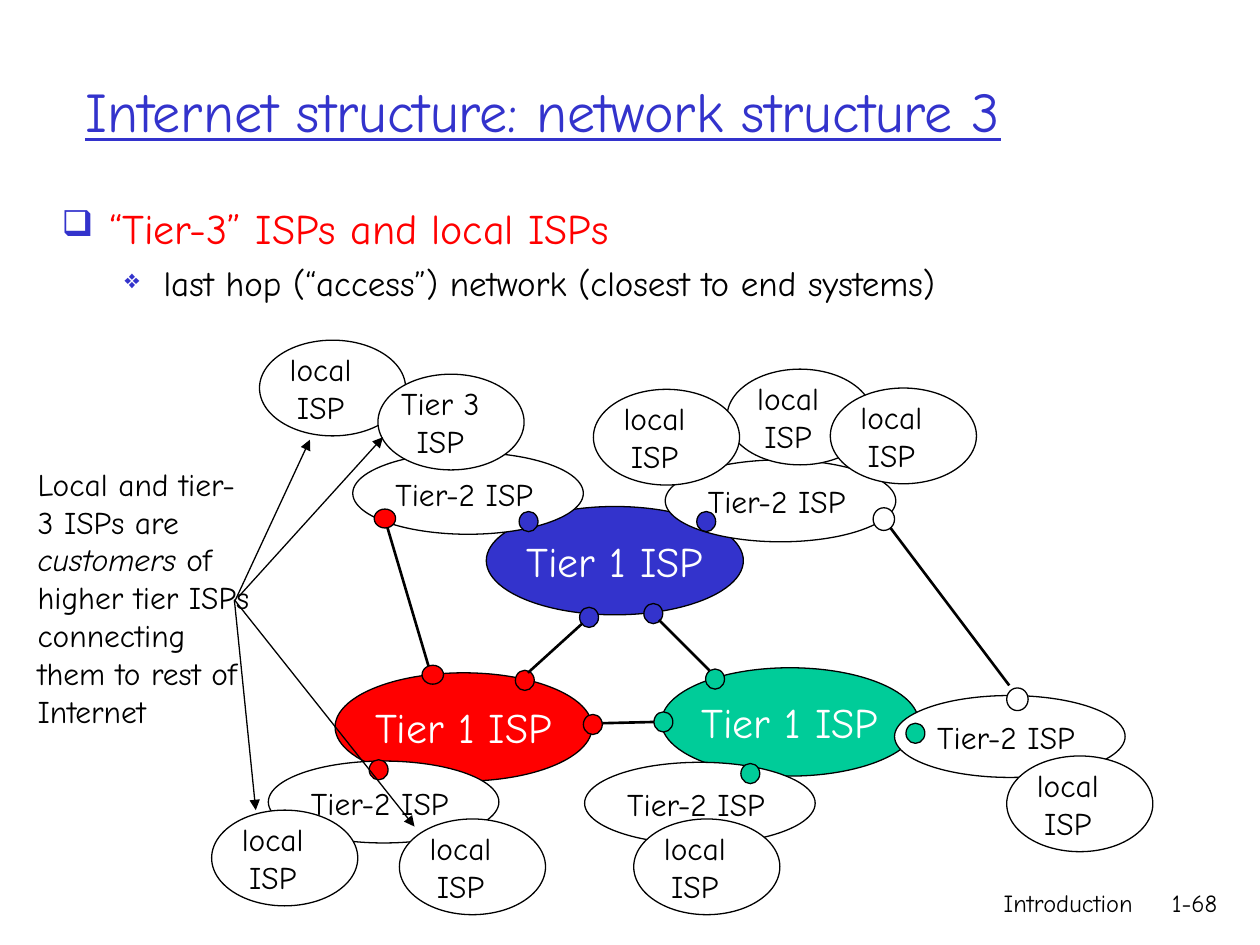
import pptx
import pptx.util
import pptx.dml.color
import pptx.enum.shapes
import pptx.enum.text
import pptx.oxml.ns
from lxml import etree

Inches, Pt = pptx.util.Inches, pptx.util.Pt
SHAPE = pptx.enum.shapes.MSO_SHAPE
ALIGN = pptx.enum.text.PP_ALIGN
MID = pptx.enum.text.MSO_ANCHOR.MIDDLE
FIT = pptx.enum.text.MSO_AUTO_SIZE.SHAPE_TO_FIT_TEXT
qn = pptx.oxml.ns.qn

FONT = "Comic Neue"
HUES = {"black": "000000", "white": "FFFFFF", "blue": "3333CC",
        "red": "FF0000", "green": "00CC99"}

TITLE = "Internet structure: network structure 3"
FOOT = [(" Introduction", (5.92, 7, 3.17, 0.5)), ("1-68", (9.08, 7, 0.68, 0.5))]
POINTS = [
    ("“Tier-3” ISPs and local ISPs", 24, "red", "❑", 85, 0.38, 0.38, 0),
    ("last hop (“access”) network (closest to end systems)", 20, "black",
     "❖", 75, 0.81, 0.31, 4.8),
]
NOTE = [
    [("Local and tier- 3 ISPs are ", False), ("customers", True), (" of", False)],
    [("higher tier ISPs", False)],
    [("connecting them to rest of Internet", False)],
]

TIER1 = [(2.66, 5.34, "red"), (3.86, 4.02, "blue"), (5.25, 5.3, "green")]
PEERS = [(5.6, 5.31, "green"), (5.11, 4.79, "blue"), (4.6, 4.82, "blue"),
         (4.09, 5.32, "red"), (4.63, 5.67, "red"), (5.19, 5.65, "green")]
LINKS = [(4.78, 5.74, 5.19, 5.73), (5.23, 4.92, 5.63, 5.32),
         (4.19, 5.34, 4.62, 4.95)]
TIER2 = [
    (5.28, 3.65, (5.53, 4.06, "blue")),
    (2.8, 3.59, (4.12, 4.06, "blue")),
    (2.13, 6.04, (2.93, 6.03, "red")),
    (4.64, 6.05, (5.88, 6.06, "green")),
    (7.1, 5.52, (7.19, 5.74, "green")),
]
UPLINKS = [(3.07, 4.17, 3.42, 5.35), (7.06, 4.18, 8.01, 5.44)]
ENDS = [(2.97, 4.04, 0.15, "red"), (3.35, 5.28, 0.15, "red"),
        (6.93, 4.03, 0.18, "white"), (7.99, 5.46, 0.18, "white")]
LOCALS = [
    (5.77, 2.93, "local"), (4.71, 3.09, "local"), (6.59, 3.08, "local"),
    (1.68, 6.43, "local"), (2.06, 2.7, "local"), (3, 2.97, "Tier 3"),
    (3.17, 6.5, "local"), (5.03, 6.5, "local"), (7.99, 6, "local"),
]
ARROWS = [(1.86, 4.78, 2.46, 3.49), (1.89, 4.74, 3.04, 3.47),
          (1.86, 4.76, 2.03, 6.43), (1.86, 4.76, 3.29, 6.56)]

deck = pptx.Presentation()
deck.slide_width, deck.slide_height = Inches(10), Inches(7.5)
slide = deck.slides.add_slide(deck.slide_layouts[6])


def tint(name):
    return pptx.dml.color.RGBColor.from_string(HUES[name])


def write(para, text, size, hue="black", slant=False, under=False):
    run = para.add_run()
    run.text = text
    font = run.font
    font.name, font.size = FONT, Pt(size)
    font.color.rgb = tint(hue)
    if slant:
        font.italic = True
    if under:
        font.underline = True


def frame(place, wrap=True, fit=False):
    text = slide.shapes.add_textbox(*map(Inches, place)).text_frame
    text.word_wrap = wrap
    if fit:
        text.auto_size = FIT
    return text


def rows(text, count):
    return [text.paragraphs[0]] + [text.add_paragraph() for _ in range(count - 1)]


def label(place, lines, align):
    text = frame(place, wrap=False, fit=True)
    for para, line in zip(rows(text, len(lines)), lines):
        para.alignment = align
        write(para, line, 18)


def oval(place, hue):
    shape = slide.shapes.add_shape(SHAPE.OVAL, *map(Inches, place))
    shape.shadow.inherit = False
    shape.fill.solid()
    shape.fill.fore_color.rgb = tint(hue)
    shape.line.color.rgb = tint("black")
    shape.line.width = Pt(0.75)
    return shape


def dot(left, top, hue):
    oval((left, top, 0.15, 0.16), hue)


def link(ends, width=1.5, arrow=False):
    kind = pptx.enum.shapes.MSO_CONNECTOR.STRAIGHT
    line = slide.shapes.add_connector(kind, *map(Inches, ends))
    line.line.color.rgb = tint("black")
    line.line.width = Pt(width)
    if arrow:
        etree.SubElement(line.line._get_or_add_ln(), qn("a:tailEnd"), type="triangle")
    etree.SubElement(line._element.spPr, qn("a:effectLst"))


def bullet(para, mark, scale, left, hang):
    props = para._p.get_or_add_pPr()
    props.set("marL", str(Inches(left)))
    props.set("indent", str(-Inches(hang)))
    color = etree.SubElement(props, qn("a:buClr"))
    etree.SubElement(color, qn("a:srgbClr"), val=HUES["blue"])
    etree.SubElement(props, qn("a:buSzPct"), val=str(scale * 1000))
    etree.SubElement(props, qn("a:buChar"), char=mark)


for words, place in FOOT:
    para = frame(place).paragraphs[0]
    para.alignment = ALIGN.RIGHT
    write(para, words, 14)

head = frame((0.58, 0.25, 8.85, 1.25))
head.vertical_anchor = MID
write(head.paragraphs[0], TITLE, 32, "blue", under=True)

body = frame((0.39, 1.56, 9.23, 1))
for level, (para, point) in enumerate(zip(rows(body, len(POINTS)), POINTS)):
    words, size, hue, mark, scale, left, hang, gap = point
    para.level = level
    bullet(para, mark, scale, left, hang)
    para.space_before = Pt(gap)
    write(para, words, size, hue)

for left, top, hue in TIER1:
    text = oval((left, top, 2.04, 0.86), hue).text_frame
    text.word_wrap = False
    text.vertical_anchor = MID
    text.paragraphs[0].alignment = ALIGN.CENTER
    write(text.paragraphs[0], "Tier 1 ISP", 24, "white")
for peer in PEERS:
    dot(*peer)
for ends in LINKS:
    link(ends)

for left, top, joint in TIER2:
    oval((left, top, 1.83, 0.65), "white")
    label((left + 0.24, top + 0.13, 1.47, 0.4), ["Tier-2 ISP"], ALIGN.LEFT)
    dot(*joint)
for ends in UPLINKS:
    link(ends)
for left, top, tall, hue in ENDS:
    oval((left, top, 0.17, tall), hue)

for left, top, name in LOCALS:
    oval((left, top, 1.16, 0.76), "white")
    shift, wide = (0.12, 0.73) if name == "local" else (0.03, 0.93)
    label((left + shift, top + 0.03, wide, 0.7), [name, "ISP"], ALIGN.CENTER)

note = frame((0.2, 3.64, 1.97, 2.5), fit=True)
for para, runs in zip(rows(note, len(NOTE)), NOTE):
    for words, slant in runs:
        write(para, words, 18, slant=slant)
for ends in ARROWS:
    link(ends, 0.75, arrow=True)

deck.save("out.pptx")
